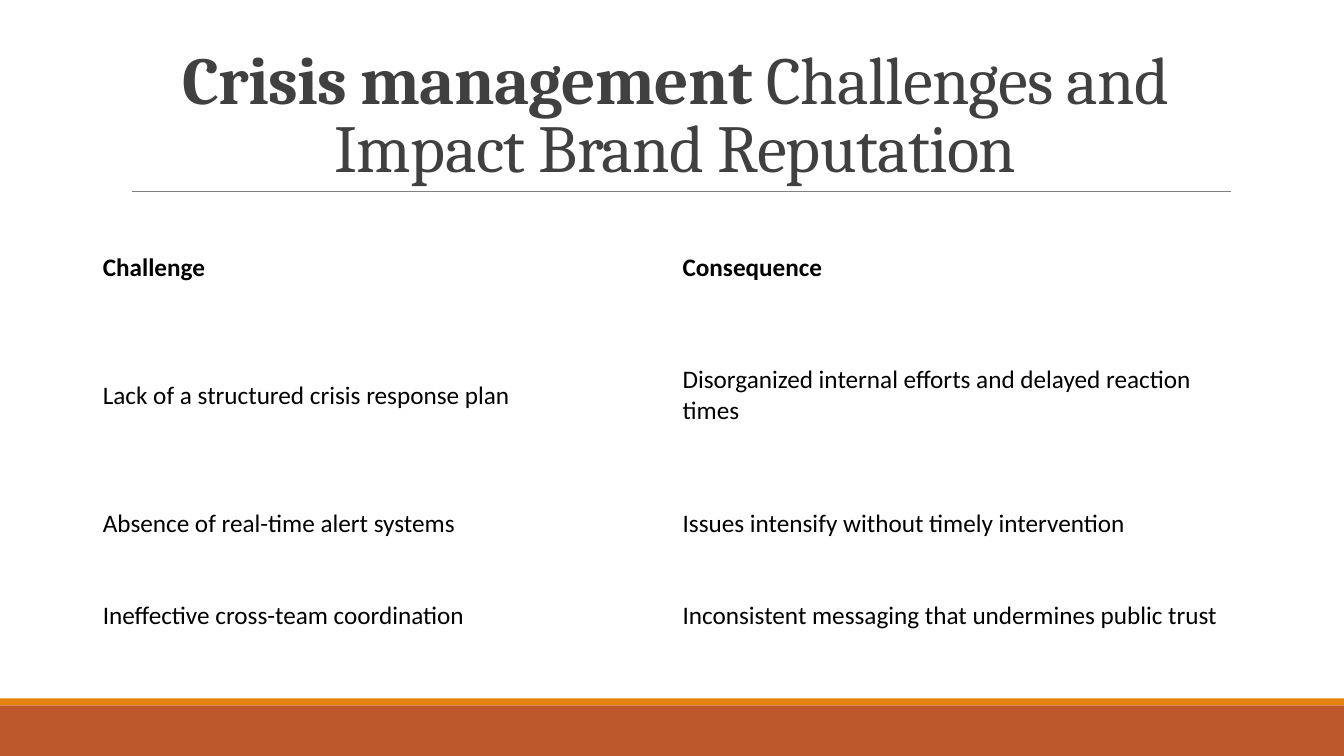
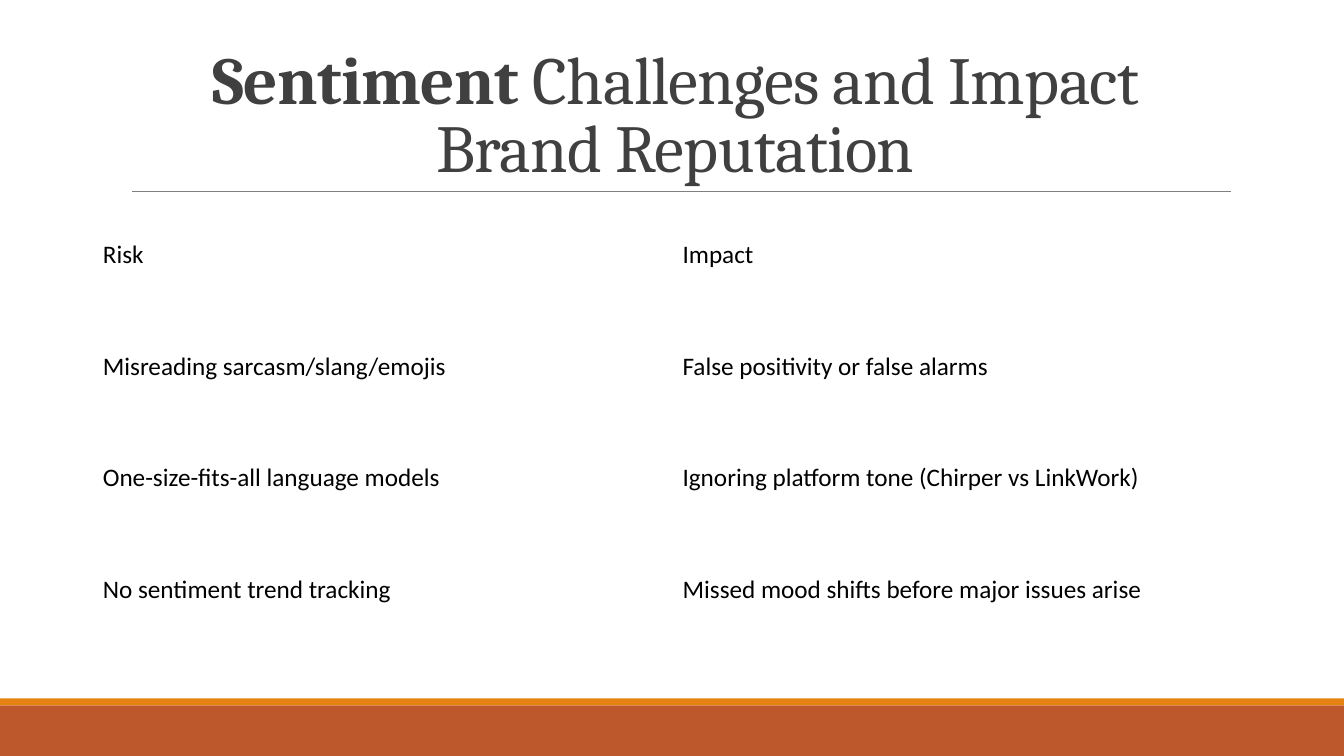
from collections import namedtuple

from lxml import etree
from pptx import Presentation
from pptx.dml.color import RGBColor
from pptx.enum.shapes import MSO_CONNECTOR as Connector, MSO_SHAPE as Shape
from pptx.enum.text import MSO_ANCHOR as Anchor, PP_ALIGN as Align
from pptx.oxml.ns import qn
from pptx.util import Inches, Pt

Box = namedtuple("Box", "left top width height")

# Shared look
RUST = RGBColor(0xBD, 0x58, 0x2C)
ORANGE = RGBColor(0xE4, 0x83, 0x12)
GRAY = RGBColor(0x80, 0x80, 0x80)
CHARCOAL = RGBColor(0x40, 0x40, 0x40)
BLACK = RGBColor(0, 0, 0)
TITLE_FONT = {"name": "Cambria", "size": Pt(48)}
CELL_FONT = {"name": "Calibri", "size": Pt(18)}
TITLE_TAIL = "Challenges and Impact Brand Reputation"

# Regions, in inches
PAGE = Box(0, 0, 13.33, 7.5)
TITLE = Box(1.2, 0.31, 11, 1.59)
FOOTER = Box(0, 6.93, PAGE.width, 0.57)
STRIPE_SHARE = 0.12
RULE_INDENT, RULE_LENGTH = 0.11, 10.9

SLIDES = [
    {
        "topic": "Crisis management",
        "grid": Box(0.92, 2.2, 11.5, 4.37),
        "row_shares": [0.21, 0.37, 0.21, 0.21],
        "bold_header": True,
        "rows": [
            ("Challenge", "Consequence"),
            ("Lack of a structured crisis response plan",
             "Disorganized internal efforts and delayed reaction times"),
            ("Absence of real-time alert systems",
             "Issues intensify without timely intervention"),
            ("Ineffective cross-team coordination",
             "Inconsistent messaging that undermines public trust"),
        ],
    },
    {
        "topic": "Sentiment",
        "grid": Box(0.92, 1.97, 11.5, 4.44),
        "row_shares": [0.25] * 4,
        "bold_header": False,
        "rows": [
            ("Risk", "Impact"),
            ("Misreading sarcasm/slang/emojis", "False positivity or false alarms"),
            ("One-size-fits-all language models",
             "Ignoring platform tone (Chirper vs LinkWork)"),
            ("No sentiment trend tracking",
             "Missed mood shifts before major issues arise"),
        ],
    },
]


def emu(box):
    return [Inches(length) for length in box]


def add_run(paragraph, text, style, color, bold):
    run = paragraph.add_run()
    run.text = text
    for name, value in {**style, "bold": bold}.items():
        setattr(run.font, name, value)
    run.font.color.rgb = color
    return run


def add_footer(slide, box):
    """Thin stripe above a solid band."""
    stripe_height = box.height * STRIPE_SHARE
    stripe = box._replace(height=stripe_height)
    band = box._replace(top=box.top + stripe_height, height=box.height - stripe_height)
    for part, color in ((band, RUST), (stripe, ORANGE)):
        bar = slide.shapes.add_shape(Shape.RECTANGLE, *emu(part))
        bar.shadow.inherit = False
        bar.fill.solid()
        bar.fill.fore_color.rgb = color
        bar.line.fill.background()


def add_title(slide, box, topic):
    """Bold topic, plain remainder, and a rule along the bottom edge."""
    left, bottom = box.left + RULE_INDENT, box.top + box.height
    rule = slide.shapes.add_connector(
        Connector.STRAIGHT, *emu((left, bottom, left + RULE_LENGTH, bottom)))
    rule.line.color.rgb = GRAY
    rule.line.width = Pt(0.5)
    etree.SubElement(rule._element.spPr, qn("a:effectLst"))

    frame = slide.shapes.add_textbox(*emu(box)).text_frame
    frame.word_wrap = True
    frame.vertical_anchor = Anchor.BOTTOM
    heading = frame.paragraphs[0]
    heading.alignment = Align.CENTER
    heading.line_spacing = 0.85
    for text, bold in ((topic + " ", True), (TITLE_TAIL, False)):
        run = add_run(heading, text, TITLE_FONT, CHARCOAL, bold)
        run.font._element.set("spc", "-50")


def add_grid(slide, box, rows, row_shares, bold_header):
    """Unfilled table with equal columns."""
    table = slide.shapes.add_table(len(rows), len(rows[0]), *emu(box)).table
    table.first_row = table.horz_banding = False
    for column in table.columns:
        column.width = Inches(box.width / len(rows[0]))
    for row_index, (texts, share) in enumerate(zip(rows, row_shares)):
        table.rows[row_index].height = Inches(box.height * share)
        for cell, text in zip(table.rows[row_index].cells, texts):
            cell.fill.background()
            cell.vertical_anchor = Anchor.MIDDLE
            add_run(cell.text_frame.paragraphs[0], text, CELL_FONT, BLACK,
                    bold_header and row_index == 0)


def main():
    deck = Presentation()
    deck.slide_width, deck.slide_height = Inches(PAGE.width), Inches(PAGE.height)
    blank = deck.slide_layouts[6]
    for content in SLIDES:
        slide = deck.slides.add_slide(blank)
        add_footer(slide, FOOTER)
        add_title(slide, TITLE, content["topic"])
        add_grid(slide, content["grid"], content["rows"],
                 content["row_shares"], content["bold_header"])
    deck.save("out.pptx")


if __name__ == "__main__":
    main()
